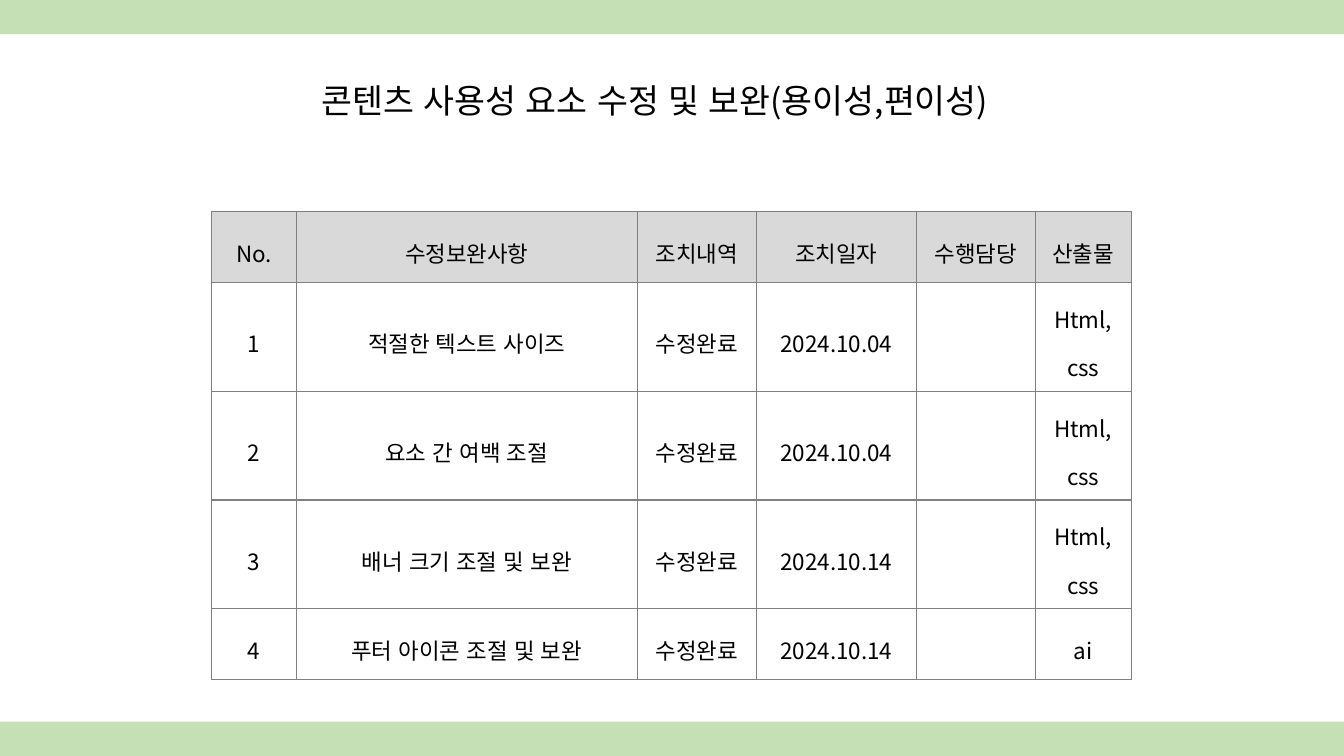
from lxml import etree
from pptx import Presentation, util as u
from pptx.dml.color import RGBColor
from pptx.enum import lang, shapes, text
from pptx.oxml import ns

BLACK = RGBColor(0x00, 0x00, 0x00)
GREEN = RGBColor(0xC5, 0xE0, 0xB4)
GRAY = RGBColor(0xD9, 0xD9, 0xD9)
LINE = RGBColor(0x80, 0x80, 0x80)
FONT = "Noto Sans CJK KR"
WIDE, HIGH = u.Inches(13.33), u.Inches(7.5)

COLS = [0.84, 3.38, 1.18, 1.59, 1.18, 0.95]
HEAD = ["No.", "수정보완사항", "조치내역", "조치일자", "수행담당", "산출물"]
TASKS = [
    ("적절한 텍스트 사이즈", "2024.10.04", "Html,\ncss"),
    ("요소 간 여백 조절", "2024.10.04", "Html,\ncss"),
    ("배너 크기 조절 및 보완", "2024.10.14", "Html,\ncss"),
    ("푸터 아이콘 조절 및 보완", "2024.10.14", "ai"),
]


def write(para, words, size, space):
    """Add one centred run to a paragraph."""
    para.alignment = text.PP_ALIGN.CENTER
    para.line_spacing = space
    run = para.add_run()
    run.text = words
    run.font.size = u.Pt(size)
    run.font.name = FONT
    run.font.language_id = lang.MSO_LANGUAGE_ID.KOREAN
    run.font.color.rgb = BLACK


def add_band(slide, left, top, width, height):
    band = slide.shapes.add_shape(
        shapes.MSO_SHAPE.RECTANGLE, left, top, width, height)
    band.shadow.inherit = False
    band.fill.solid()
    band.fill.fore_color.rgb = GREEN
    band.line.fill.background()


def add_title(slide, left, top, width, height):
    title = slide.shapes.title
    title.left, title.top, title.width, title.height = left, top, width, height
    frame = title.text_frame
    frame.word_wrap = False
    frame.auto_size = text.MSO_AUTO_SIZE.SHAPE_TO_FIT_TEXT
    write(frame.paragraphs[0],
          "콘텐츠 사용성 요소 수정 및 보완(용이성,편이성)", 24, 1.0)


def add_edges(cell):
    """Draw a thin line on all four sides of a cell."""
    props = cell._tc.get_or_add_tcPr()
    for spot, side in enumerate("LRTB"):
        edge = etree.Element(ns.qn(f"a:ln{side}"), w=str(u.Pt(1)))
        fill = etree.SubElement(edge, ns.qn("a:solidFill"))
        etree.SubElement(fill, ns.qn("a:srgbClr"), val=str(LINE))
        props.insert(spot, edge)


def fill_cell(cell, words, is_head):
    cell.vertical_anchor = text.MSO_ANCHOR.MIDDLE
    cell.margin_left = cell.margin_right = u.Inches(0.1)
    cell.margin_top, cell.margin_bottom = u.Inches(0.04), u.Inches(0.08)
    if is_head:
        cell.fill.solid()
        cell.fill.fore_color.rgb = GRAY
    else:
        cell.fill.background()
    add_edges(cell)
    if not words:
        return
    frame = cell.text_frame
    for num, line in enumerate(words.split("\n")):
        para = frame.add_paragraph() if num else frame.paragraphs[0]
        write(para, line, 16, 1.5)


def add_tasks(slide, left, top, width, low, tall):
    """Rows are low for one line of text and tall for two."""
    rows = [HEAD] + [
        [str(num), task, "수정완료", date, "", output]
        for num, (task, date, output) in enumerate(TASKS, 1)]
    highs = [tall if "\n" in row[-1] else low for row in rows]
    table = slide.shapes.add_table(
        len(rows), len(COLS), left, top, width, sum(highs)).table
    table.first_row = table.horz_banding = False
    for col, share in zip(table.columns, COLS):
        col.width = int(width * share / sum(COLS))
    for r, row in enumerate(rows):
        table.rows[r].height = highs[r]
        for c, words in enumerate(row):
            fill_cell(table.cell(r, c), words, r == 0)


def main():
    deck = Presentation()
    deck.slide_width, deck.slide_height = WIDE, HIGH
    slide = deck.slides.add_slide(deck.slide_layouts[5])

    # Table of fixes
    add_tasks(slide, u.Inches(2.1), u.Inches(2.1),
              u.Inches(9.12), u.Inches(0.7), u.Inches(1.08))
    # Bands along the top and bottom edges
    band = u.Inches(0.34)
    for top in (0, HIGH - band):
        add_band(slide, 0, top, WIDE, band)
    # Heading
    add_title(slide, u.Inches(2.39), u.Inches(0.74),
              u.Inches(8.21), u.Inches(0.5))
    deck.save("out.pptx")


if __name__ == "__main__":
    main()
